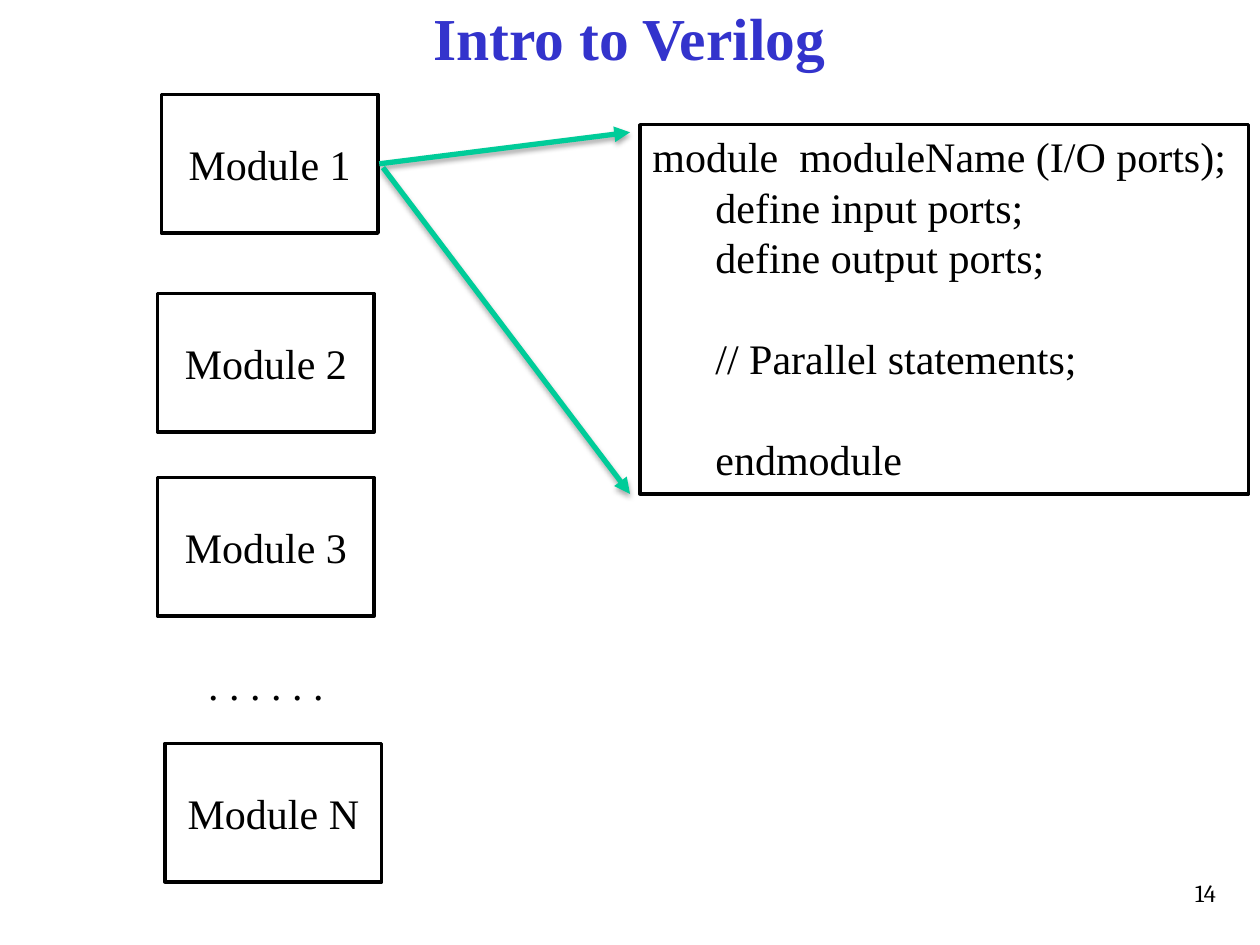
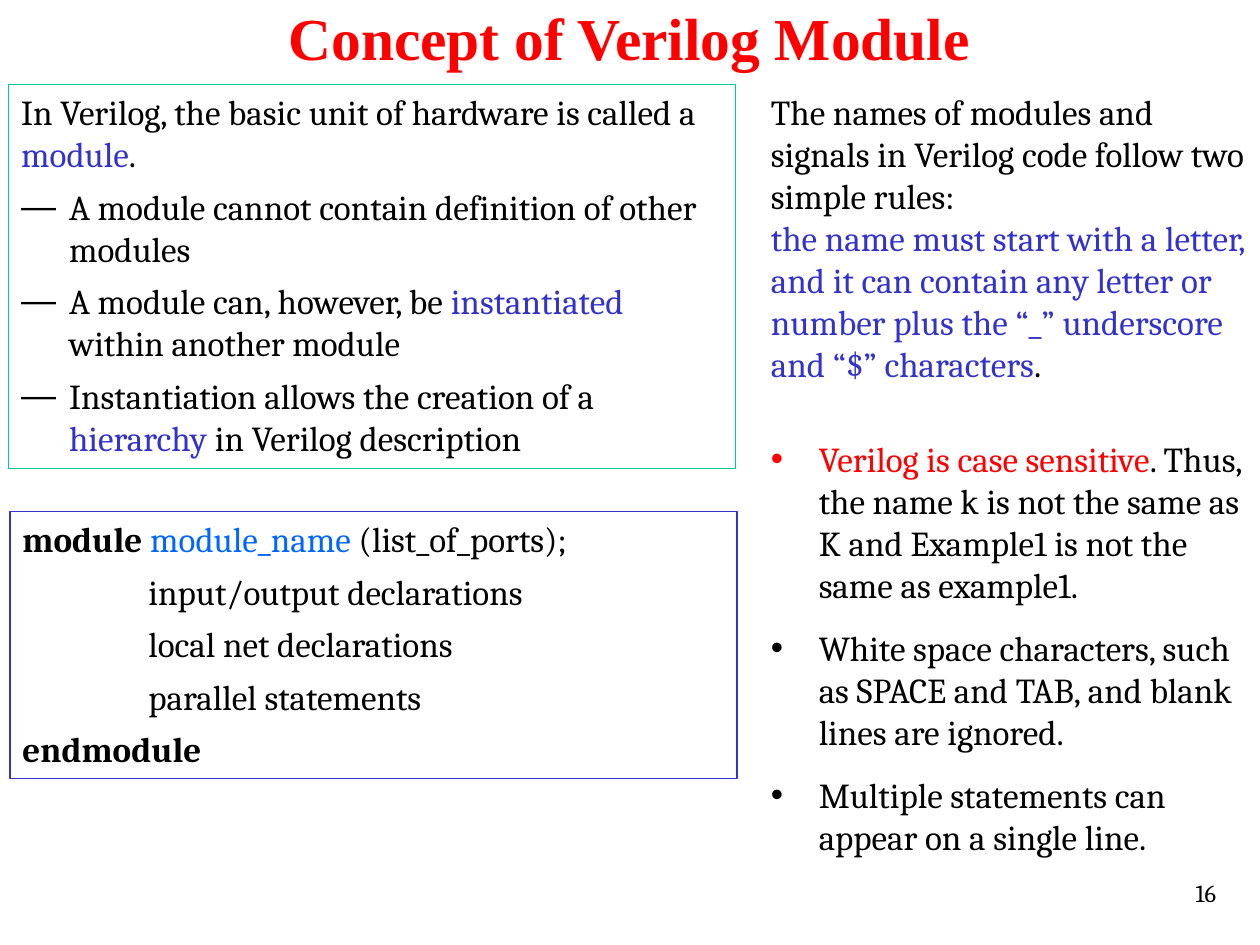
from lxml import etree
from pptx import Presentation
from pptx.dml.color import RGBColor
from pptx.enum.shapes import MSO_CONNECTOR, MSO_SHAPE
from pptx.enum.text import MSO_ANCHOR, MSO_AUTO_SIZE, PP_ALIGN
from pptx.oxml import parse_xml
from pptx.oxml.ns import nsdecls, qn
from pptx.util import Inches, Pt

LEFT, CENTER, RIGHT = PP_ALIGN.LEFT, PP_ALIGN.CENTER, PP_ALIGN.RIGHT
TOP, MIDDLE = MSO_ANCHOR.TOP, MSO_ANCHOR.MIDDLE
RECT = MSO_SHAPE.RECTANGLE
STRAIGHT = MSO_CONNECTOR.STRAIGHT
NO_FIT = MSO_AUTO_SIZE.NONE

BLACK, WHITE, RED = "000000", "FFFFFF", "FF0000"
BLUE, SKY, GREEN = "3333CC", "0066FF", "00CC99"
TIMES, SERIF = "Times New Roman", "Cambria"

SHADOW = (
    f'<a:effectLst {nsdecls("a")}>'
    f'<a:outerShdw blurRad="{Pt(3.1)}" dist="{Pt(1.8)}" dir="5400000" rotWithShape="0">'
    '<a:srgbClr val="000000"><a:alpha val="35000"/></a:srgbClr>'
    '</a:outerShdw></a:effectLst>'
)


def color(code):
    return RGBColor.from_string(code)


def para(*runs, **style):
    return runs, style


class Deck:
    def __init__(self):
        self.show = Presentation()
        self.show.slide_width = Inches(10)
        self.show.slide_height = Inches(7.5)
        self.slide = None

    def start(self, title, tint, number):
        self.slide = self.show.slides.add_slide(self.show.slide_layouts[5])
        head = self.slide.shapes.title
        head.left, head.top = Inches(0.08), Inches(0.08)
        head.width, head.height = Inches(9.83), Inches(0.42)
        line = para((title, tint, True))
        self.put(head, [line], TIMES, 34, CENTER, MIDDLE)
        self.text((7.67, 6.92, 2.08, 0.42), [para(number)], SERIF, 14, RIGHT)

    def put(self, shape, paras, font, size, align=LEFT, anchor=TOP, pitch=None):
        frame = shape.text_frame
        frame.word_wrap = True
        frame.auto_size = NO_FIT
        frame.vertical_anchor = anchor
        for index, (runs, style) in enumerate(paras):
            item = frame.add_paragraph() if index else frame.paragraphs[0]
            item.alignment = align
            item.space_before = Pt(style.get("before", 0))
            item.space_after = Pt(style.get("after", 0))
            if pitch:
                item.line_spacing = Pt(pitch)
            self.indent(item, style.get("indent", 0), style.get("bullet"))
            for part in runs:
                self.run(item, part, font, size)

    def indent(self, item, depth, mark):
        props = item._p.get_or_add_pPr()
        props.set("marL", str(Inches(depth)))
        props.set("indent", str(-Inches(depth) if mark else 0))
        if mark:
            etree.SubElement(props, qn("a:buFont")).set("typeface", "Arial")
            etree.SubElement(props, qn("a:buChar")).set("char", mark)

    def run(self, item, part, font, size):
        words, tint, bold = part if isinstance(part, tuple) else (part, BLACK, False)
        run = item.add_run()
        run.text = words
        run.font.name, run.font.size = font, Pt(size)
        run.font.bold = bold
        run.font.color.rgb = color(tint)

    def text(self, place, paras, font, size, align=LEFT, pitch=None):
        box = self.slide.shapes.add_textbox(*map(Inches, place))
        self.put(box, paras, font, size, align, pitch=pitch)

    def box(self, place, paras, font, size, align=LEFT, anchor=TOP,
            fill=None, line=None, width=2, pitch=None):
        shape = self.slide.shapes.add_shape(RECT, *map(Inches, place))
        shape.shadow.inherit = False
        if fill:
            shape.fill.solid()
            shape.fill.fore_color.rgb = color(fill)
        else:
            shape.fill.background()
        if line:
            shape.line.color.rgb = color(line)
            shape.line.width = Pt(width)
        else:
            shape.line.fill.background()
        self.put(shape, paras, font, size, align, anchor, pitch)

    def arrow(self, start, end):
        link = self.slide.shapes.add_connector(STRAIGHT, *map(Inches, start + end))
        link.line.color.rgb = color(GREEN)
        link.line.width = Pt(3)
        props = link._element.spPr
        etree.SubElement(props.get_or_add_ln(), qn("a:tailEnd")).set("type", "triangle")
        props.append(parse_xml(SHADOW))


def intro(deck):
    deck.start("Intro to Verilog", BLUE, "14")
    modules = [("1", 1.28, 0.75), ("2", 1.25, 2.33), ("3", 1.25, 3.79), ("N", 1.31, 5.9)]
    for name, left, top in modules:
        deck.box((left, top, 1.72, 1.1), [para(f"Module {name}")], TIMES, 24,
                 CENTER, MIDDLE, WHITE, BLACK)
    deck.box((1.25, 5.23, 1.72, 0.39), [para(". . . . . .")], TIMES, 24,
             CENTER, MIDDLE, WHITE)
    code = [
        para("module  moduleName (I/O ports);"),
        para("define input ports;", indent=0.5),
        para("define output ports;", indent=0.5),
        para("// Parallel statements;", indent=0.5, before=28.8),
        para("endmodule", indent=0.5, before=28.8),
    ]
    deck.box((5.08, 0.99, 4.83, 2.93), code, TIMES, 24,
             fill=WHITE, line=BLACK, pitch=28.8)
    deck.arrow((3.01, 1.3), (5, 1.05))
    deck.arrow((3.04, 1.33), (5, 3.92))


def concept(deck):
    deck.start("Concept of Verilog Module", RED, "16")
    dot = {"indent": 0.38, "bullet": "•", "before": 6, "after": 6}
    dash = {"indent": 0.38, "bullet": "―", "after": 6}
    rules = [
        para("The names of modules and signals in Verilog code follow two simple rules:"),
        para(("the name must start with a letter, and it can contain any letter or "
              "number plus the “_” underscore and “$” characters", BLUE, False), "."),
        para(("Verilog is case sensitive", RED, False),
             ". Thus, the name k is not the same as K and Example1 is not "
             "the same as example1.", **{**dot, "before": 30}),
        para("White space characters, such as SPACE and TAB, and blank lines are ignored.",
             **dot),
        para("Multiple statements can appear on a single line.", **dot),
    ]
    deck.text((6.02, 0.67, 4, 6.24), rules, SERIF, 20, pitch=24)
    facts = [
        para("In Verilog, the basic unit of hardware is called a ",
             ("module", BLUE, False), ".", after=6),
        para("A module cannot contain definition of other modules", **dash),
        para("A module can, however, be ", ("instantiated", BLUE, False),
             " within another module", **dash),
        para("Instantiation allows the creation of a ", ("hierarchy", BLUE, False),
             " in Verilog description", **dash),
    ]
    deck.box((0.07, 0.67, 5.77, 3.05), facts, SERIF, 20,
             line=GREEN, width=0.75, pitch=24)
    body = ["input/output declarations", "local net declarations", "parallel statements"]
    code = [
        para(("module ", BLACK, True), ("module_name ", SKY, False),
             "(list_of_ports);", after=6),
        *[para(words, indent=1, after=6) for words in body],
        para(("endmodule", BLACK, True), after=6),
    ]
    deck.box((0.08, 4.06, 5.77, 2.12), code, SERIF, 20,
             line=BLUE, width=0.75, pitch=24)


def main():
    deck = Deck()
    intro(deck)
    concept(deck)
    deck.show.save("out.pptx")


if __name__ == "__main__":
    main()
